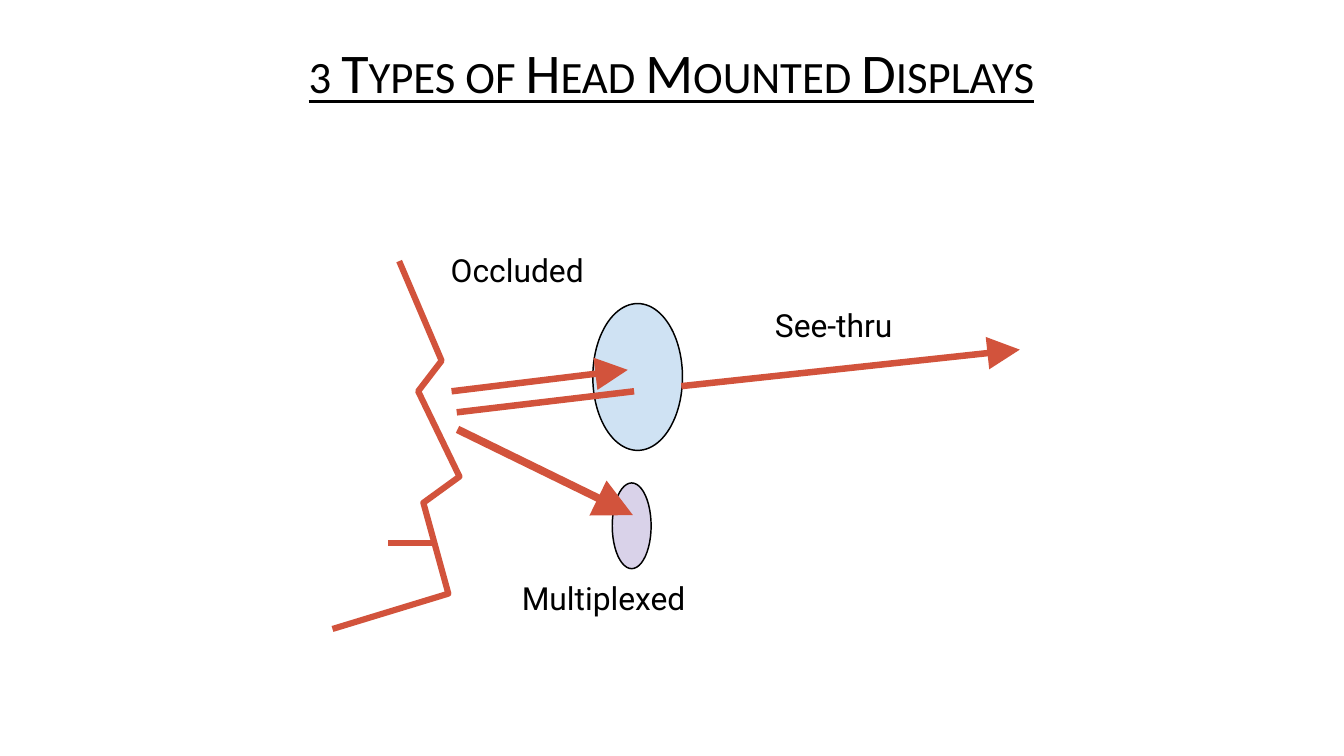
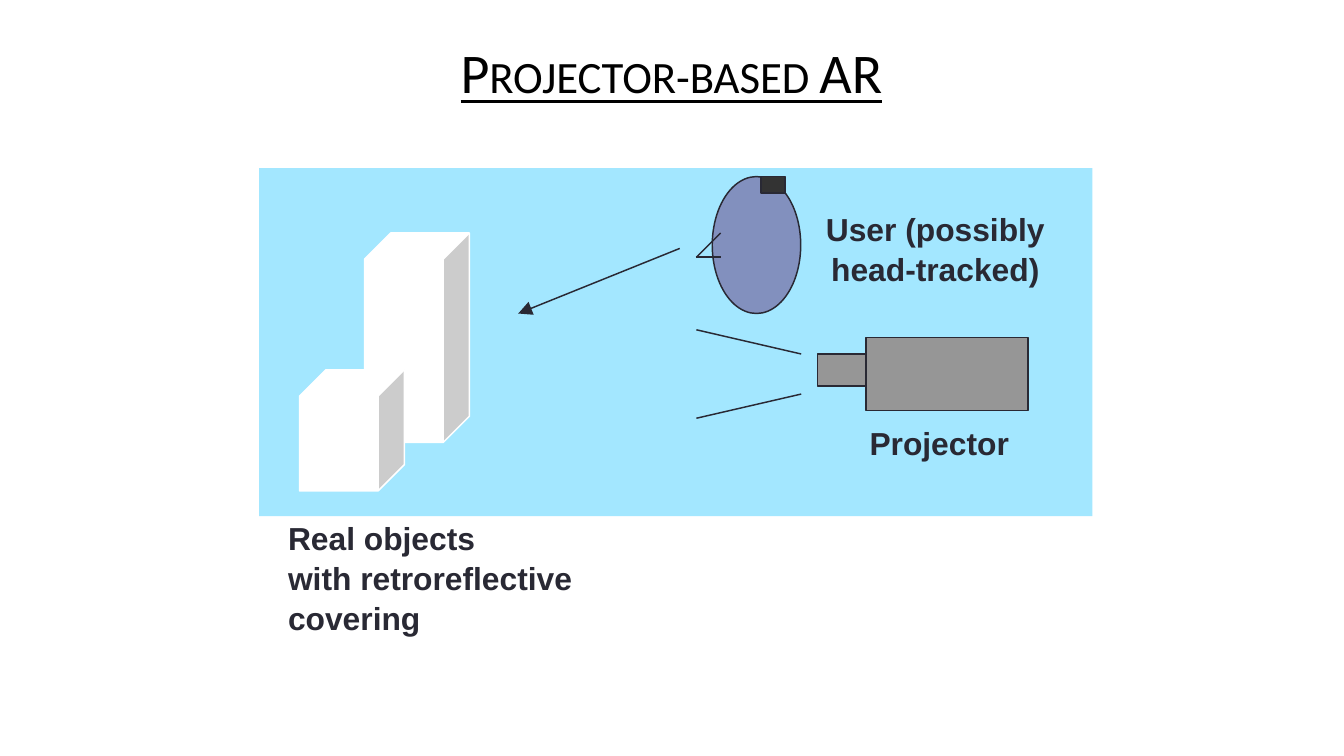
from dataclasses import dataclass
from typing import Optional

from lxml.etree import SubElement
from pptx import Presentation
from pptx.dml.color import RGBColor
from pptx.enum.shapes import MSO_CONNECTOR, MSO_SHAPE
from pptx.enum.text import MSO_ANCHOR, PP_ALIGN
from pptx.oxml.ns import qn
from pptx.util import Cm, Pt


# Theme: colours, fonts and sizes
@dataclass(frozen=True)
class Theme:
    black: str = "000000"
    white: str = "FFFFFF"
    red: str = "D2533C"
    lens: str = "CFE2F3"
    lilac: str = "D9D2E9"
    sky: str = "A3E7FF"
    ink: str = "292934"
    grey: str = "969696"
    coal: str = "333333"
    skin: str = "8290BE"
    head_font: str = "Calibri"
    head_size: float = 40
    text_size: float = 22.7
    thin: float = 1.06
    thick: float = 4.64


T = Theme()


# Parts of a slide, with lengths in centimetres
@dataclass(frozen=True)
class Block:
    kind: MSO_SHAPE
    x: float
    y: float
    w: float
    h: float
    fill: str
    line: Optional[str] = None


@dataclass(frozen=True)
class Line:
    x1: float
    y1: float
    x2: float
    y2: float
    color: str = T.ink
    width: float = T.thin
    arrow: bool = False


@dataclass(frozen=True)
class Label:
    x: float
    y: float
    w: float
    h: float
    lines: tuple[str, ...]
    font: str
    color: str
    bold: bool = False
    align: PP_ALIGN = PP_ALIGN.LEFT
    space: float = 1.0


def rgb(color: str) -> RGBColor:
    return RGBColor.from_string(color)


def draw_block(slide, part: Block) -> None:
    shape = slide.shapes.add_shape(
        part.kind, Cm(part.x), Cm(part.y), Cm(part.w), Cm(part.h))
    shape.shadow.inherit = False
    shape.fill.solid()
    shape.fill.fore_color.rgb = rgb(part.fill)
    if part.line:
        shape.line.color.rgb = rgb(part.line)
        shape.line.width = Pt(T.thin)
    else:
        shape.line.fill.background()


def draw_line(slide, part: Line) -> None:
    link = slide.shapes.add_connector(
        MSO_CONNECTOR.STRAIGHT,
        Cm(part.x1), Cm(part.y1), Cm(part.x2), Cm(part.y2))
    link.line.color.rgb = rgb(part.color)
    link.line.width = Pt(part.width)
    if part.arrow:
        SubElement(link.line._get_or_add_ln(), qn("a:tailEnd"),
                   type="triangle", w="lg", len="lg")
    SubElement(link._element.spPr, qn("a:effectLst"))


def draw_path(slide, spots: list[tuple[float, float]], color: str,
              width: float) -> None:
    first, *rest = [(Cm(x), Cm(y)) for x, y in spots]
    pen = slide.shapes.build_freeform(*first)
    pen.add_line_segments(rest, close=False)
    shape = pen.convert_to_shape()
    shape.shadow.inherit = False
    shape.fill.background()
    shape.line.color.rgb = rgb(color)
    shape.line.width = Pt(width)


def add_frame(slide, x: float, y: float, w: float, h: float):
    frame = slide.shapes.add_textbox(Cm(x), Cm(y), Cm(w), Cm(h)).text_frame
    frame.word_wrap = True
    frame.margin_left = frame.margin_right = 0
    frame.margin_top = frame.margin_bottom = 0
    return frame


def draw_label(slide, part: Label) -> None:
    frame = add_frame(slide, part.x, part.y, part.w, part.h)
    for i, text in enumerate(part.lines):
        para = frame.add_paragraph() if i else frame.paragraphs[0]
        para.text = text
        para.alignment = part.align
        para.line_spacing = part.space
        para.font.name = part.font
        para.font.size = Pt(T.text_size)
        para.font.bold = part.bold
        para.font.color.rgb = rgb(part.color)


def draw_title(slide, text: str) -> None:
    frame = add_frame(slide, 4.42, 0.83, 25, 2.16)
    frame.vertical_anchor = MSO_ANCHOR.MIDDLE
    para = frame.paragraphs[0]
    run = para.add_run()
    run.text = text
    run.font._element.set("cap", "small")
    para.alignment = PP_ALIGN.CENTER
    para.line_spacing = 0.9
    para.font.name = T.head_font
    para.font.size = Pt(T.head_size)
    para.font.underline = True
    para.font.color.rgb = rgb(T.black)


DRAW = {Block: draw_block, Line: draw_line, Label: draw_label}


def draw_all(slide, parts: list) -> None:
    for part in parts:
        DRAW[type(part)](slide, part)


def add_slide(deck, title: str):
    slide = deck.slides.add_slide(deck.slide_layouts[6])
    draw_title(slide, title)
    return slide


# Slide 1: the face, two displays and the lines of sight
def draw_types(deck) -> None:
    slide = add_slide(deck, "3 Types of Head Mounted Displays")
    face = [(10.06, 6.58), (11.13, 9.09), (10.54, 9.86), (11.58, 12.01),
            (10.67, 12.67), (11.3, 14.96), (8.38, 15.85)]
    draw_path(slide, face, T.red, 4.38)

    def name(x: float, y: float, text: str) -> Label:
        return Label(x, y, 4.8, 1, (text,), "Roboto", T.black)

    draw_all(slide, [
        Block(MSO_SHAPE.OVAL, 14.94, 7.65, 2.26, 3.7, T.lens, T.black),
        Line(11.38, 9.86, 15.82, 9.32, T.red, T.thick, True),
        Line(17.17, 9.73, 25.7, 8.81, T.red, T.thick, True),
        Block(MSO_SHAPE.OVAL, 15.43, 12.17, 0.98, 2.16, T.lilac, T.black),
        Line(11.53, 10.82, 15.95, 12.98, T.red, 5.57, True),
        Line(11.51, 10.39, 15.98, 9.86, T.red, T.thick),
        Line(9.78, 13.69, 11, 13.69, T.red, 4.5),
        name(11.36, 6.31, "Occluded"),
        name(19.53, 7.7, "See-thru"),
        name(13.15, 14.58, "Multiplexed"),
    ])


# Slide 2: real objects, the user and the projector
def draw_beam(deck) -> None:
    slide = add_slide(deck, "Projector-based AR")

    def name(x: float, y: float, w: float, h: float, *lines: str,
             align: PP_ALIGN = PP_ALIGN.CENTER) -> Label:
        return Label(x, y, w, h, lines, "Arial", T.ink, True, align, 1.05)

    draw_all(slide, [
        Block(MSO_SHAPE.RECTANGLE, 6.53, 4.24, 21, 8.77, T.sky),
        # Real objects
        Block(MSO_SHAPE.CUBE, 9.19, 5.87, 2.64, 5.28, T.white, T.white),
        Block(MSO_SHAPE.CUBE, 7.55, 9.32, 2.64, 3.05, T.white, T.white),
        # Projector and its beam
        Block(MSO_SHAPE.RECTANGLE, 21.82, 8.51, 4.09, 1.83, T.grey, T.ink),
        Block(MSO_SHAPE.RECTANGLE, 20.6, 8.92, 1.22, 0.81, T.grey, T.ink),
        Line(20.19, 8.92, 17.55, 8.31),
        Line(20.19, 9.93, 17.55, 10.54),
        # User with tracker, nose and line of sight
        Block(MSO_SHAPE.OVAL, 17.95, 4.45, 2.23, 3.45, T.skin, T.ink),
        Block(MSO_SHAPE.RECTANGLE, 19.18, 4.45, 0.61, 0.41, T.coal, T.ink),
        Line(18.16, 5.87, 17.55, 6.48),
        Line(17.55, 6.48, 18.16, 6.48),
        Line(17.13, 6.26, 13.06, 7.9, arrow=True),
        # Names
        name(7.26, 13.03, 7.9, 2.92, "Real objects",
             "with retroreflective covering", align=PP_ALIGN.LEFT),
        name(20.27, 5.23, 6.6, 2, "User (possibly head-tracked)"),
        name(20.37, 10.62, 6.6, 1, "Projector"),
    ])


def main() -> None:
    deck = Presentation()
    deck.slide_width, deck.slide_height = Cm(33.87), Cm(19.05)
    draw_types(deck)
    draw_beam(deck)
    deck.save("out.pptx")


if __name__ == "__main__":
    main()
